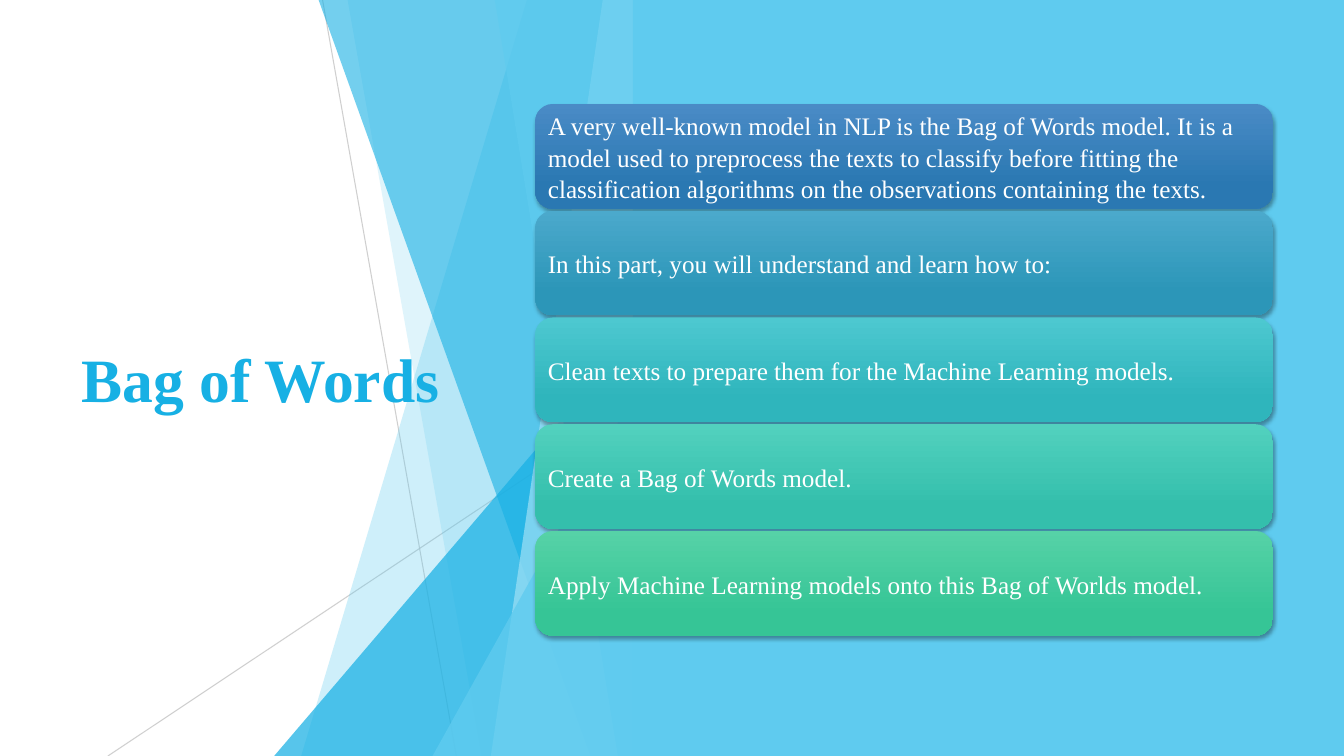
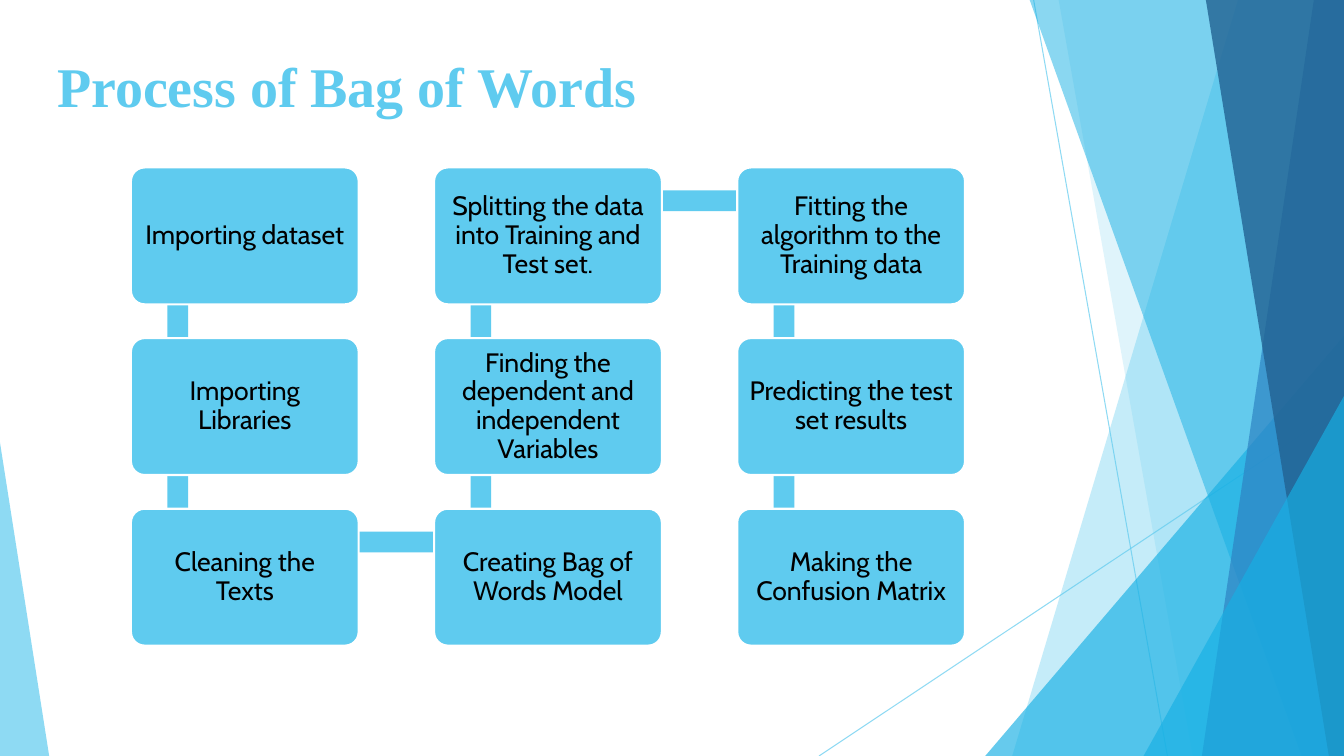
from itertools import pairwise

from lxml.etree import SubElement
from pptx import Presentation
from pptx.dml.color import RGBColor
from pptx.enum.shapes import MSO_CONNECTOR as LINK, MSO_SHAPE as SHAPE
from pptx.enum.text import MSO_ANCHOR as ANCHOR, PP_ALIGN as ALIGN
from pptx.oxml.ns import qn
from pptx.util import Cm, Pt

WIDE, HIGH = 33.87, 19.05
WHITE = RGBColor(0xFF, 0xFF, 0xFF)
BLACK = RGBColor(0x00, 0x00, 0x00)
GREY = RGBColor(0xBF, 0xBF, 0xBF)
SKY = RGBColor(0x5F, 0xCB, 0xEF)
PALE = RGBColor(0x9F, 0xE0, 0xF5)
AZURE = RGBColor(0x17, 0xB0, 0xE4)
BLUE = RGBColor(0x2E, 0x83, 0xC3)
NAVY = RGBColor(0x22, 0x62, 0x92)
SERIF, SANS = "Times New Roman", "Cabin"

# Offsets from the right edge of the fan: a band has the x of its left side
# at the top and at the bottom, a wedge has its width and the y of its tip.
FAN = (
    ("band", -2.67, -8.36),
    ("band", -7.19, -3.81),
    ("wedge", 9.04, 8.46),
    ("band", -7.92, -1.07),
    ("band", -0.76, -3.58),
    ("band", -3.48, -0.38),
    ("wedge", 5.05, 9.98),
)
RAYS = ((-7.82, 0, -4.45, HIGH), (0, 10.24, -13.23, HIGH))

# Colour and opacity of the fan parts, in the order of FAN.
LIGHT = ((SKY, 30), (SKY, 20), (AZURE, 72), (AZURE, 60),
         (PALE, 70), (SKY, 65), (SKY, 80))
DEEP = ((SKY, 36), (SKY, 20), (AZURE, 66), (AZURE, 50),
        (BLUE, 70), (NAVY, 80), (AZURE, 66))

POINTS = (
    ("A very well-known model in NLP is the Bag of Words model. It is a model "
     "used to preprocess the texts to classify before fitting the "
     "classification algorithms on the observations containing the texts.",
     "4A8BC6", "2A78B2"),
    ("In this part, you will understand and learn how to:",
     "4BA9CC", "2C96B8"),
    ("Clean texts to prepare them for the Machine Learning models.",
     "4DC8D0", "2FB5BC"),
    ("Create a Bag of Words model.", "52D1BE", "34BFAC"),
    ("Apply Machine Learning models onto this Bag of Worlds model.",
     "56D2A7", "36C596"),
)
STEPS = (
    "Importing dataset",
    "Importing Libraries",
    "Cleaning the Texts",
    "Creating Bag of Words Model",
    "Finding the dependent and independent Variables",
    "Splitting the data into Training and Test set.",
    "Fitting the algorithm to the Training data",
    "Predicting the test set results",
    "Making the Confusion Matrix",
)


def write(shape, text, *, size, font, color, bold=False, align=ALIGN.LEFT,
          anchor=ANCHOR.MIDDLE, inset=None, space=None):
    frame = shape.text_frame
    frame.word_wrap = True
    frame.vertical_anchor = anchor
    if inset is not None:
        frame.margin_left = frame.margin_right = Cm(inset)
        frame.margin_top = frame.margin_bottom = Cm(inset)
    para = frame.paragraphs[0]
    para.alignment = align
    para.line_spacing = space
    run = para.add_run()
    run.text = text
    run.font.size = Pt(size)
    run.font.name = font
    run.font.bold = bold
    run.font.color.rgb = color


def fade(shape, alpha):
    """Set the opacity, in percent, of every colour of the shape."""
    for color in shape._element.spPr.iter(qn("a:srgbClr")):
        SubElement(color, qn("a:alpha"), val=str(alpha * 1000))


def lift(shape):
    """Give the shape a soft shadow below it."""
    effects = shape._element.spPr.find(qn("a:effectLst"))
    shadow = SubElement(effects, qn("a:outerShdw"), blurRad=str(Pt(3)),
                        dist=str(Pt(2)), dir="5400000", rotWithShape="0")
    color = SubElement(shadow, qn("a:srgbClr"), val=str(BLACK))
    SubElement(color, qn("a:alpha"), val="35000")


class Deck:
    def __init__(self):
        self.show = Presentation()
        self.show.slide_width, self.show.slide_height = Cm(WIDE), Cm(HIGH)
        self.slide = None

    def page(self):
        self.slide = self.show.slides.add_slide(self.show.slide_layouts[6])

    def paint(self, shape, fill, alpha=100):
        shape.shadow.inherit = False
        shape.line.fill.background()
        if fill is not None:
            shape.fill.solid()
            shape.fill.fore_color.rgb = fill
        if alpha < 100:
            fade(shape, alpha)
        return shape

    def box(self, x, y, w, h, fill=None, kind=SHAPE.RECTANGLE, alpha=100):
        shape = self.slide.shapes.add_shape(kind, Cm(x), Cm(y), Cm(w), Cm(h))
        return self.paint(shape, fill, alpha)

    def wedge(self, x, y, w, fill, alpha, tip):
        """Right-angled triangle that stands on the bottom edge."""
        shape = self.box(x, y, w, HIGH - y, fill,
                         SHAPE.ISOSCELES_TRIANGLE, alpha)
        shape.adjustments[0] = tip

    def band(self, top, foot, edge, fill, alpha):
        """Full-height area between a slanted side and the edge."""
        pen = self.slide.shapes.build_freeform(Cm(top), 0)
        pen.add_line_segments([(Cm(edge), 0), (Cm(edge), Cm(HIGH)),
                               (Cm(foot), Cm(HIGH))], close=True)
        self.paint(pen.convert_to_shape(), fill, alpha)

    def ray(self, x1, y1, x2, y2, color, alpha):
        line = self.slide.shapes.add_connector(
            LINK.STRAIGHT, Cm(x1), Cm(y1), Cm(x2), Cm(y2))
        line.line.width = Pt(0.75)
        line.line.color.rgb = color
        fade(line, alpha)
        SubElement(line._element.spPr, qn("a:effectLst"))

    def fan(self, edge, tones, color, alpha):
        for x1, y1, x2, y2 in RAYS:
            self.ray(edge + x1, y1, edge + x2, y2, color, alpha)
        for (kind, a, b), (fill, tone) in zip(FAN, tones):
            if kind == "band":
                self.band(edge + a, edge + b, edge, fill, tone)
            else:
                self.wedge(edge - a, b, a, fill, tone, tip=1)

    def title(self, text, x, y, w, h, size, color, anchor):
        shape = self.slide.shapes.add_textbox(Cm(x), Cm(y), Cm(w), Cm(h))
        write(shape, text, size=size, font=SERIF, color=color, bold=True,
              anchor=anchor)

    def bar(self, text, x, y, w, h, top, foot):
        """Rounded bar, shaded from top to foot."""
        shape = self.box(x, y, w, h, kind=SHAPE.ROUNDED_RECTANGLE)
        shape.fill.gradient()
        shape.fill.gradient_angle = 270
        stops = zip(shape.fill.gradient_stops, (top, foot), (0, 0.78))
        for stop, tone, place in stops:
            stop.color.rgb = RGBColor.from_string(tone)
            stop.position = place
        lift(shape)
        write(shape, text, size=18, font=SERIF, color=WHITE, inset=0.19,
              space=1.05)

    def step(self, text, x, y, w, h):
        shape = self.box(x, y, w, h, SKY, SHAPE.ROUNDED_RECTANGLE)
        shape.adjustments[0] = 0.1
        shape.line.color.rgb = WHITE
        shape.line.width = Pt(1.5)
        write(shape, text, size=19, font=SANS, color=BLACK,
              align=ALIGN.CENTER, inset=0.2, space=0.9)


def intro(deck):
    edge = 15.95
    deck.page()
    deck.fan(edge, LIGHT, GREY, 75)
    deck.title("Bag of Words", 1.8, 3.84, 9.86, 11.38, 44, AZURE,
               ANCHOR.MIDDLE)
    deck.box(edge, 0, WIDE - edge, HIGH, SKY)
    for row, (text, top, foot) in enumerate(POINTS):
        deck.bar(text, 13.49, 2.62 + 2.69 * row, 18.59, 2.64, top, foot)


def process(deck):
    left, top, across, down = 3.3, 4.22, 7.64, 4.3
    thick = 0.52
    deck.page()
    deck.fan(WIDE, DEEP, SKY, 70)
    deck.wedge(0, 11.15, 1.24, SKY, 70, tip=0)
    deck.title("Process of Bag of Words", 1.19, 1.17, 23.88, 2.51, 40, SKY,
               ANCHOR.TOP)

    spots = []
    for col in range(3):
        rows = range(3) if col != 1 else reversed(range(3))
        spots += [(left + across * col, top + down * row) for row in rows]
    for (x1, y1), (x2, y2) in pairwise(spots):
        if x1 == x2:
            deck.box(x1 + 0.92, min(y1, y2) + 0.86, thick, down, SKY)
        else:
            deck.box(x1 + 1.19, y1 + 0.58, across, thick, SKY)
    for text, (x, y) in zip(STEPS, spots):
        deck.step(text, x, y, 5.74, 3.45)


def main():
    deck = Deck()
    intro(deck)
    process(deck)
    deck.show.save("out.pptx")


if __name__ == "__main__":
    main()
